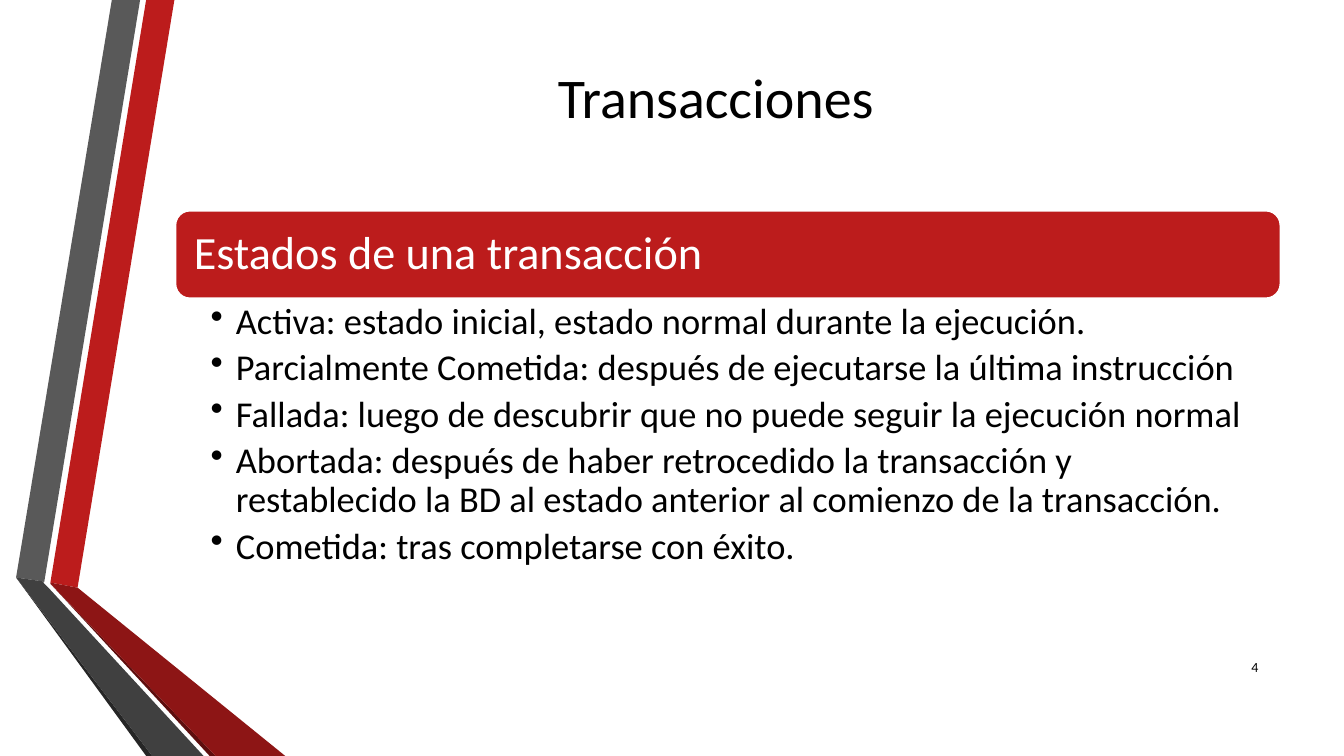
from dataclasses import dataclass

from lxml import etree
from pptx import Presentation
from pptx.dml.color import RGBColor
from pptx.enum.shapes import MSO_SHAPE
from pptx.enum.text import MSO_ANCHOR, PP_ALIGN
from pptx.oxml.ns import qn
from pptx.util import Inches, Pt

ROUNDED = MSO_SHAPE.ROUNDED_RECTANGLE
TOP, MIDDLE = MSO_ANCHOR.TOP, MSO_ANCHOR.MIDDLE
LEFT, CENTER, RIGHT = PP_ALIGN.LEFT, PP_ALIGN.CENTER, PP_ALIGN.RIGHT

TITLE = "Transacciones"
HEADING = "Estados de una transacción"
STATES = [
    "Activa: estado inicial, estado normal durante la ejecución.",
    "Parcialmente Cometida: después de ejecutarse la última instrucción",
    "Fallada: luego de descubrir que no puede seguir la ejecución normal",
    "Abortada: después de haber retrocedido la transacción y restablecido "
    "la BD al estado anterior al comienzo de la transacción.",
    "Cometida: tras completarse con éxito.",
]
PAGE = "4"


@dataclass(frozen=True)
class Theme:
    font: str = "Calibri"
    ink: str = "000000"
    paper: str = "FFFFFF"
    red: str = "BC1C1C"
    red_shade: str = "8D1515"
    red_edge: str = "5E0E0E"
    gray: str = "595959"
    gray_shade: str = "404040"
    gray_edge: str = "262626"
    title: int = 40
    heading: int = 33
    body: int = 26
    page: int = 10


THEME = Theme()
WIDTH, HEIGHT = 13.33, 7.5

# Ribbon outlines in inches, back to front
RIBBONS = [
    (THEME.red, [(0.5, 5.78), (0.77, 5.83), (1.73, 0), (1.45, 0)]),
    (THEME.gray, [(1.39, 0), (1.11, 0), (0.16, 5.73), (0.44, 5.77)]),
    (THEME.gray_edge, [(0.16, 5.73), (1.45, HEIGHT), (1.51, HEIGHT)]),
    (THEME.red_edge, [(0.5, 5.79), (2.08, HEIGHT), (2.14, HEIGHT)]),
    (THEME.red_shade, [(0.5, 5.79), (2.14, HEIGHT), (2.83, HEIGHT),
                       (0.77, 5.83), (0.5, 5.78)]),
    (THEME.gray_shade, [(2.02, HEIGHT), (0.48, 5.83), (0.43, 5.78),
                        (0.44, 5.77), (0.16, 5.73), (1.51, HEIGHT)]),
]

COLUMN_WIDTH = 10.96
PANEL_LEFT, PANEL_TOP = 1.74, 2.09
BANNER_HEIGHT, LIST_HEIGHT = 0.87, 2.84
TITLE_BOX = (1.62, -0.01, COLUMN_WIDTH, 1.92)
BANNER_BOX = (PANEL_LEFT, PANEL_TOP, COLUMN_WIDTH, BANNER_HEIGHT)
LIST_BOX = (PANEL_LEFT, PANEL_TOP + BANNER_HEIGHT, COLUMN_WIDTH, LIST_HEIGHT)
PAGE_BOX = (11.98, 6.42, 0.6, 0.4)


def inches(box):
    return [Inches(length) for length in box]


def paint(shape, color):
    shape.shadow.inherit = False
    shape.fill.solid()
    shape.fill.fore_color.rgb = RGBColor.from_string(color)


def add_ribbon(slide, color, outline):
    first, *rest = [inches(point) for point in outline]
    builder = slide.shapes.build_freeform(*first)
    builder.add_line_segments(rest, close=True)
    ribbon = builder.convert_to_shape()
    paint(ribbon, color)
    ribbon.line.fill.background()


def write(shape, lines, size, color=THEME.ink, align=LEFT, anchor=MIDDLE,
          insets=(0.1, 0.05, 0.1, 0.05), spacing=1.0, after=0):
    """Fill a shape with paragraphs; insets run left, top, right, bottom."""
    frame = shape.text_frame
    left, top, right, bottom = inches(insets)
    layout = {"word_wrap": True, "vertical_anchor": anchor,
              "margin_left": left, "margin_top": top,
              "margin_right": right, "margin_bottom": bottom}
    for name, value in layout.items():
        setattr(frame, name, value)
    for index, line in enumerate(lines):
        paragraph = frame.add_paragraph() if index else frame.paragraphs[0]
        paragraph.alignment = align
        paragraph.line_spacing = spacing
        paragraph.space_after = Pt(after)
        run = paragraph.add_run()
        run.text = line
        run.font.name, run.font.size = THEME.font, Pt(size)
        run.font.color.rgb = RGBColor.from_string(color)


def add_bullets(frame, indent):
    for paragraph in frame.paragraphs:
        properties = paragraph._p.get_or_add_pPr()
        properties.set("marL", str(Inches(indent)))
        properties.set("indent", str(-Inches(indent)))
        etree.SubElement(properties, qn("a:buChar")).set("char", "•")


def main():
    deck = Presentation()
    deck.slide_width, deck.slide_height = inches((WIDTH, HEIGHT))
    slide = deck.slides.add_slide(deck.slide_layouts[6])

    for color, outline in RIBBONS:
        add_ribbon(slide, color, outline)

    title = slide.shapes.add_textbox(*inches(TITLE_BOX))
    write(title, [TITLE], THEME.title, align=CENTER)

    banner = slide.shapes.add_shape(ROUNDED, *inches(BANNER_BOX))
    paint(banner, THEME.red)
    banner.line.color.rgb = RGBColor.from_string(THEME.paper)
    banner.line.width = Pt(1.25)
    write(banner, [HEADING], THEME.heading, THEME.paper,
          insets=(0.14,) * 4, spacing=0.9)

    states = slide.shapes.add_textbox(*inches(LIST_BOX))
    write(states, STATES, THEME.body, anchor=TOP,
          insets=(0.35, 0.05, 0.26, 0.05), spacing=0.9, after=5)
    add_bullets(states.text_frame, 0.25)

    page = slide.shapes.add_textbox(*inches(PAGE_BOX))
    write(page, [PAGE], THEME.page, align=RIGHT)

    deck.save("out.pptx")


if __name__ == "__main__":
    main()
